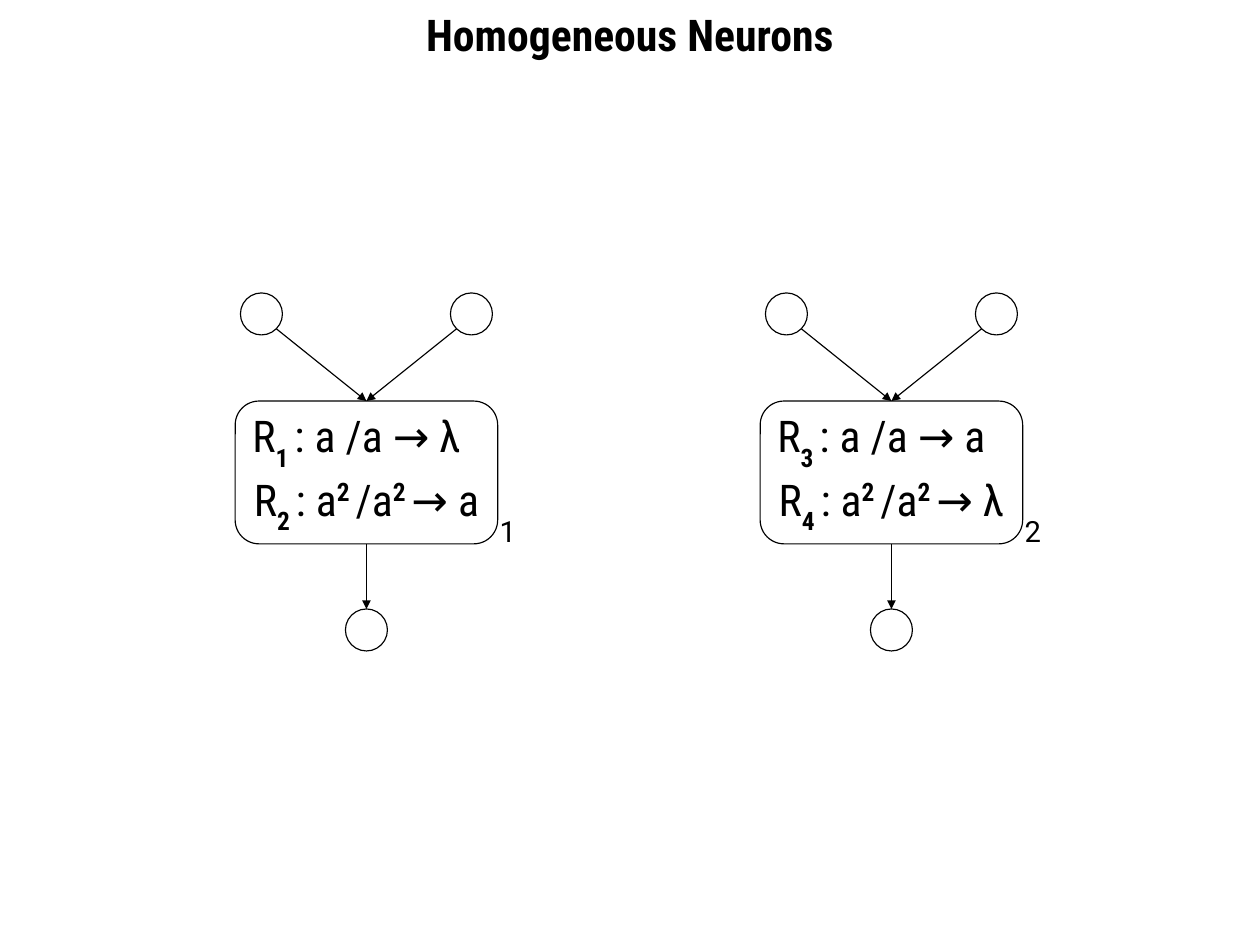
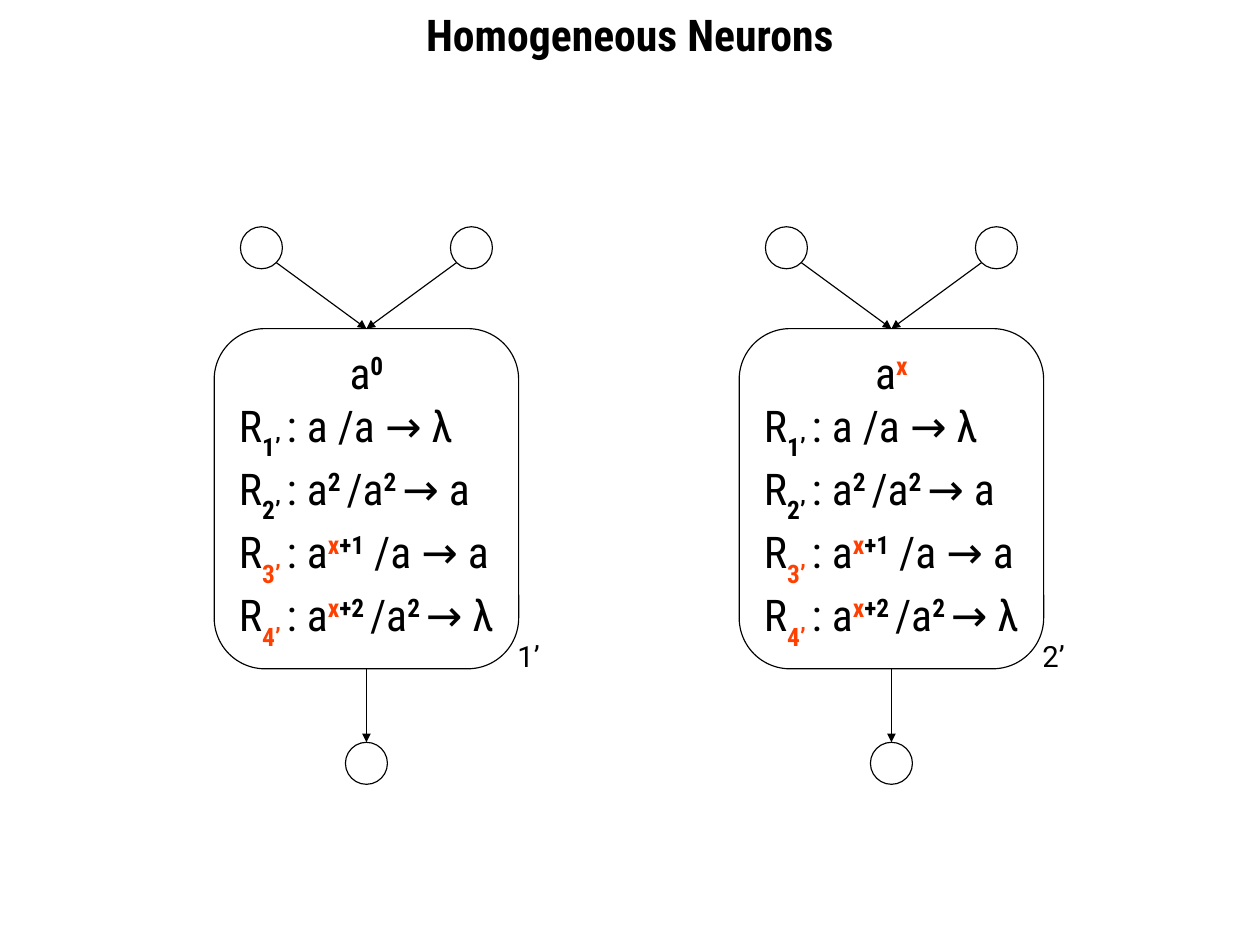
"""Builds two slides that compare pairs of homogeneous neurons."""
from dataclasses import dataclass

from lxml import etree
from pptx import Presentation
from pptx.dml.color import RGBColor
from pptx.enum.shapes import MSO_CONNECTOR, MSO_SHAPE
from pptx.enum.text import MSO_ANCHOR, PP_ALIGN
from pptx.oxml.ns import qn
from pptx.util import Inches, Pt

STRAIGHT = MSO_CONNECTOR.STRAIGHT
OVAL, ROUNDED = MSO_SHAPE.OVAL, MSO_SHAPE.ROUNDED_RECTANGLE
LEFT, CENTER = PP_ALIGN.LEFT, PP_ALIGN.CENTER
TOP, MIDDLE = MSO_ANCHOR.TOP, MSO_ANCHOR.MIDDLE
COLS, ROWS = 12, 9


@dataclass(frozen=True)
class Theme:
    """Colours, fonts and sizes that the slides share."""
    ink: RGBColor = RGBColor(0x00, 0x00, 0x00)
    accent: RGBColor = RGBColor(0xFF, 0x40, 0x00)
    font: str = "Roboto Condensed"
    tag_font: str = "Roboto"
    size: int = 30
    tag_size: int = 20
    line: float = 0.79
    corner: float = 0.167
    shift: int = 33000


@dataclass(frozen=True)
class Run:
    """A piece of text with its weight, baseline and emphasis."""
    text: str
    bold: bool = False
    level: int = 0
    hot: bool = False


@dataclass(frozen=True)
class Layout:
    """Grid measures of one neuron with its inputs and output."""
    input_y: float
    box_y: float
    box_w: float
    box_h: float
    output_y: float
    tag_w: float
    tag_overlap: float


def sub(text, hot=False):
    """Return a bold subscript."""
    return Run(text, True, -1, hot)


def sup(text, hot=False):
    """Return a bold superscript."""
    return Run(text, True, 1, hot)


def rule(name, *body, hot=False):
    """Return the runs of a numbered rule."""
    return [Run("R"), sub(name + " ", hot),
            *(Run(b) if isinstance(b, str) else b for b in body)]


class Deck:
    """Holds the theme and the current slide, and draws on its grid."""
    radius = 0.2
    reach = 1
    edge = 0.14

    def __init__(self, theme):
        """Start an empty presentation."""
        self.theme = theme
        self.prs = Presentation()
        self.prs.slide_width, self.prs.slide_height = Inches(COLS), Inches(ROWS)
        self.col = self.prs.slide_width / COLS
        self.row = self.prs.slide_height / ROWS

    def grid(self, *lengths):
        """Turn alternating columns and rows into slide lengths."""
        return [round(n * (self.row if i % 2 else self.col))
                for i, n in enumerate(lengths)]

    def slide(self, title):
        """Add a blank slide with a title."""
        self.s = self.prs.slides.add_slide(self.prs.slide_layouts[6])
        self.label((0, 0.02, COLS, 0.65), Run(title, True),
                   self.theme.font, self.theme.size, CENTER)

    def fill_text(self, tf, lines, font, size, aligns, anchor=TOP, wrap=True):
        """Fill a text frame run by run."""
        tf.word_wrap, tf.vertical_anchor = wrap, anchor
        for i, (runs, align) in enumerate(zip(lines, aligns)):
            p = tf.add_paragraph() if i else tf.paragraphs[0]
            p.alignment = align
            for run in runs:
                r = p.add_run()
                r.text = run.text
                r.font.name, r.font.size, r.font.bold = font, Pt(size), run.bold
                r.font.color.rgb = self.theme.accent if run.hot else self.theme.ink
                if run.level:
                    r._r.get_or_add_rPr().set("baseline", str(run.level * self.theme.shift))

    def label(self, at, run, font, size, align=LEFT):
        """Add a text box with one run."""
        sp = self.s.shapes.add_textbox(*self.grid(*at))
        self.fill_text(sp.text_frame, [[run]], font, size, [align])

    def outline(self, kind, *at):
        """Add an unfilled shape with a thin line."""
        sp = self.s.shapes.add_shape(kind, *self.grid(*at))
        sp.shadow.inherit = False
        sp.fill.background()
        sp.line.color.rgb, sp.line.width = self.theme.ink, Pt(self.theme.line)
        return sp

    def node(self, x, y):
        """Add a small circle around a centre."""
        self.outline(OVAL, x - self.radius, y - self.radius,
                     2 * self.radius, 2 * self.radius)

    def arrow(self, *ends):
        """Add a line with an arrowhead at its end."""
        c = self.s.shapes.add_connector(STRAIGHT, *self.grid(*ends))
        c.line.color.rgb, c.line.width = self.theme.ink, Pt(self.theme.line)
        props = c._element.spPr
        etree.SubElement(props.find(qn("a:ln")), qn("a:tailEnd"), type="triangle")
        etree.SubElement(props, qn("a:effectLst"))

    def neuron(self, x, lay, lines, aligns, tag):
        """Add a rule box with two inputs, one output and a tag."""
        left, bottom = x - lay.box_w / 2, lay.box_y + lay.box_h
        box = self.outline(ROUNDED, left, lay.box_y, lay.box_w, lay.box_h)
        box.adjustments[0] = self.theme.corner
        self.fill_text(box.text_frame, lines, self.theme.font, self.theme.size,
                       aligns, MIDDLE, False)
        for side in (-1, 1):
            input_x = x + side * self.reach
            self.node(input_x, lay.input_y)
            self.arrow(input_x - side * self.edge, lay.input_y + self.edge,
                       x, lay.box_y)
        self.node(x, lay.output_y)
        self.arrow(x, bottom, x, lay.output_y - self.radius)
        self.label((left + lay.box_w - lay.tag_overlap, bottom - 0.34, lay.tag_w, 0.47),
                   Run(tag), self.theme.tag_font, self.theme.tag_size)


def main():
    """Build and save both slides."""
    deck = Deck(Theme())
    title = "Homogeneous Neurons"
    centres = [3.49 + 5 * i for i in range(2)]
    squares = [": a", sup("2 "), "/a", sup("2 ")]

    deck.slide(title)
    small = Layout(2.99, 3.82, 2.5, 1.36, 6, 0.39, 0.08)
    pairs = [("1", "λ", "2", "a"), ("3", "a", "4", "λ")]
    for i, (x, (one, first, two, second)) in enumerate(zip(centres, pairs), 1):
        lines = [rule(one, f": a /a → {first}"),
                 rule(two, *squares, f"→ {second}")]
        deck.neuron(x, small, lines, [LEFT, CENTER], str(i))

    deck.slide(title)
    large = Layout(2.36, 3.13, 2.9, 3.24, 7.27, 0.47, 0.11)
    x_power = sup("x", True)
    rules = [
        rule("1’", ": a /a → λ"),
        rule("2’", *squares, "→ a"),
        rule("3’", ": a", x_power, sup("+1"), " /a → a", hot=True),
        rule("4’", ": a", x_power, sup("+2 "), "/a", sup("2 "), "→ λ", hot=True),
    ]
    for i, (x, power) in enumerate(zip(centres, (sup("0"), x_power)), 1):
        deck.neuron(x, large, [[Run("a"), power], *rules],
                    [CENTER] + [LEFT] * len(rules), f"{i}’")

    deck.prs.save("out.pptx")


if __name__ == "__main__":
    main()
